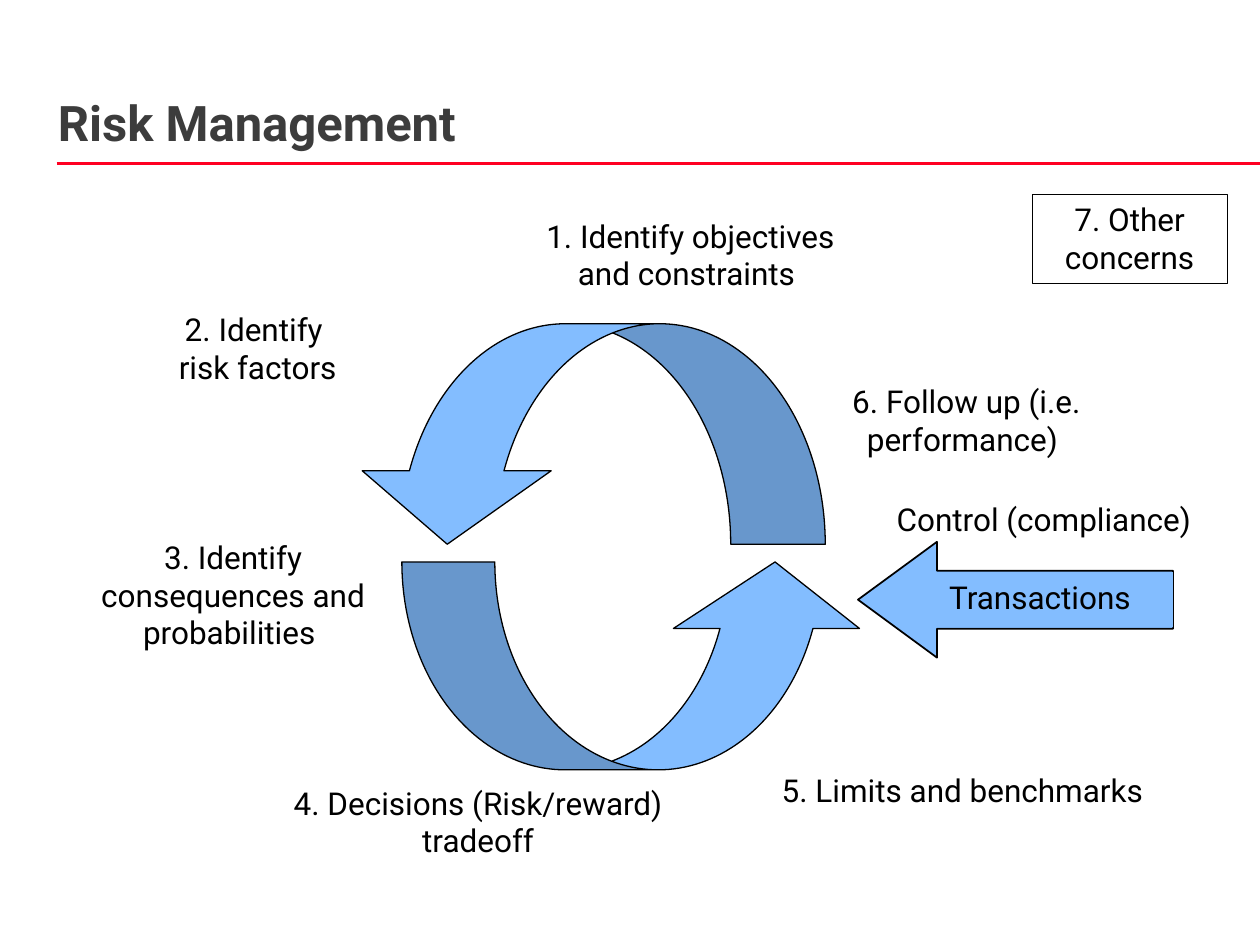
from dataclasses import dataclass
from typing import Any, Optional

import pptx
import pptx.dml.color
import pptx.enum.shapes
import pptx.enum.text
import pptx.oxml.ns
import pptx.oxml.xmlchemy
import pptx.util

Pt = pptx.util.Pt
Color = pptx.dml.color.RGBColor
Kind = pptx.enum.shapes.MSO_SHAPE
Align = pptx.enum.text.PP_ALIGN
Anchor = pptx.enum.text.MSO_ANCHOR
AutoSize = pptx.enum.text.MSO_AUTO_SIZE
qn = pptx.oxml.ns.qn


@dataclass(frozen=True)
class Theme:
    font: str = "Roboto"
    title_size: float = 28
    body_size: float = 18
    title: Color = Color(0x3C, 0x3C, 0x3C)
    ink: Color = Color(0, 0, 0)
    paper: Color = Color(0xFF, 0xFF, 0xFF)
    arrow: Color = Color(0x83, 0xBD, 0xFF)
    rule: Color = Color(0xFF, 0, 0x22)


@dataclass(frozen=True)
class Frame:
    left: float
    top: float
    width: float
    height: float

    def lengths(self) -> tuple:
        return tuple(Pt(v) for v in (self.left, self.top, self.width, self.height))


@dataclass(frozen=True)
class Label:
    frame: Frame
    paragraphs: tuple


@dataclass(frozen=True)
class Block:
    kind: Any
    frame: Frame
    fill: Color
    line_width: Optional[float] = None
    adjustments: tuple = ()
    flipped: bool = False


THEME = Theme()

LABELS = (
    Label(Frame(292.3, 120.2, 204.5, 51.1), ("1. Identify objectives and constraints ",)),
    Label(Frame(82.1, 173.5, 130.3, 51.1), ("2. Identify \nrisk factors",)),
    Label(Frame(36.7, 303.8, 193, 72.7), ("3. Identify consequences and", "probabilities ")),
    Label(Frame(159.8, 444.2, 226.8, 51.1), ("4. Decisions (Risk/reward) tradeoff",)),
    Label(Frame(411.1, 437, 282.2, 28.8), ("5. Limits and benchmarks ",)),
    Label(Frame(447.1, 214.6, 210.2, 51.1), ("6. Follow up (i.e. performance) ",)),
    Label(Frame(476.6, 282.2, 239.8, 28.8), ("Control (compliance)",)),
)

CYCLE = (
    Block(Kind.CURVED_UP_ARROW, Frame(229.7, 321.1, 266.4, 118.8), THEME.arrow, 0.75,
          (0.447, 0.895, 0.32)),
    Block(Kind.CURVED_DOWN_ARROW, Frame(201.6, 185, 270, 126), THEME.arrow, 0.75,
          (0.429, 0.857, 0.333), True),
)
CONCERNS = Block(Kind.RECTANGLE, Frame(589.7, 110.9, 111.6, 51.1), THEME.paper, 0.5)
INFLOW = Block(Kind.LEFT_ARROW, Frame(490.3, 309.6, 180, 66.2), THEME.arrow, 1, (0.5, 0.682))
INFLOW_TEXT = Block(Kind.RECTANGLE, Frame(522.7, 326.9, 147.6, 31.7), THEME.arrow)


def apply(target: Any, values: dict) -> None:
    for name, value in values.items():
        setattr(target, name, value)


def set_font(para: Any, size: float, color: Color, bold: bool = False) -> None:
    for span in para.runs:
        apply(span.font, {"name": THEME.font, "size": Pt(size), "bold": bold})
        span.font.color.rgb = color


def write(box: Any, paragraphs: tuple) -> None:
    frame = box.text_frame
    apply(frame, {"word_wrap": True, "auto_size": AutoSize.SHAPE_TO_FIT_TEXT,
                  "vertical_anchor": Anchor.TOP})
    for index, text in enumerate(paragraphs):
        para = frame.paragraphs[0] if index == 0 else frame.add_paragraph()
        apply(para, {"text": text, "alignment": Align.CENTER})
        set_font(para, THEME.body_size, THEME.ink)


def draw_label(shapes: Any, label: Label) -> None:
    write(shapes.add_textbox(*label.frame.lengths()), label.paragraphs)


def draw_block(shapes: Any, block: Block) -> Any:
    shape = shapes.add_shape(block.kind, *block.frame.lengths())
    shape.shadow.inherit = False
    shape.fill.solid()
    shape.fill.fore_color.rgb = block.fill
    if block.line_width is None:
        shape.line.fill.background()
    else:
        shape.line.color.rgb = THEME.ink
        shape.line.width = Pt(block.line_width)
    for index, value in enumerate(block.adjustments):
        shape.adjustments[index] = value
    if block.flipped:
        shape._element.spPr.find(qn("a:xfrm")).set("flipH", "1")
    return shape


def draw_title(page: Any) -> None:
    title = page.shapes.title
    bounds = dict(zip(("left", "top", "width", "height"),
                      Frame(33.1, 23, 653, 64.1).lengths()))
    apply(title, bounds)
    margins = {f"margin_{side}": Pt(0) for side in ("left", "top", "right", "bottom")}
    apply(title.text_frame, {**margins, "word_wrap": True, "auto_size": AutoSize.NONE,
                             "vertical_anchor": Anchor.BOTTOM})
    para = title.text_frame.paragraphs[0]
    apply(para, {"text": "Risk Management", "alignment": Align.LEFT, "line_spacing": 0.95})
    set_font(para, THEME.title_size, THEME.title, True)


def draw_rule(page: Any) -> None:
    rule = page.shapes.add_connector(pptx.enum.shapes.MSO_CONNECTOR.STRAIGHT,
                                     Pt(32.4), Pt(93.6), Pt(720), Pt(93.6))
    rule.line.color.rgb = THEME.rule
    rule.line.width = Pt(1.5)
    rule._element.spPr.append(pptx.oxml.xmlchemy.OxmlElement("a:effectLst"))


def main() -> None:
    deck = pptx.Presentation()
    apply(deck, {"slide_width": Pt(720), "slide_height": Pt(540)})
    page = deck.slides.add_slide(deck.slide_layouts[5])
    draw_rule(page)
    draw_title(page)
    write(draw_block(page.shapes, CONCERNS), ("7. Other concerns",))
    for block in CYCLE:
        draw_block(page.shapes, block)
    inflow = page.shapes.add_group_shape()
    draw_block(inflow.shapes, INFLOW)
    write(draw_block(inflow.shapes, INFLOW_TEXT), ("Transactions ",))
    for label in LABELS:
        draw_label(page.shapes, label)
    deck.save("out.pptx")


if __name__ == "__main__":
    main()
